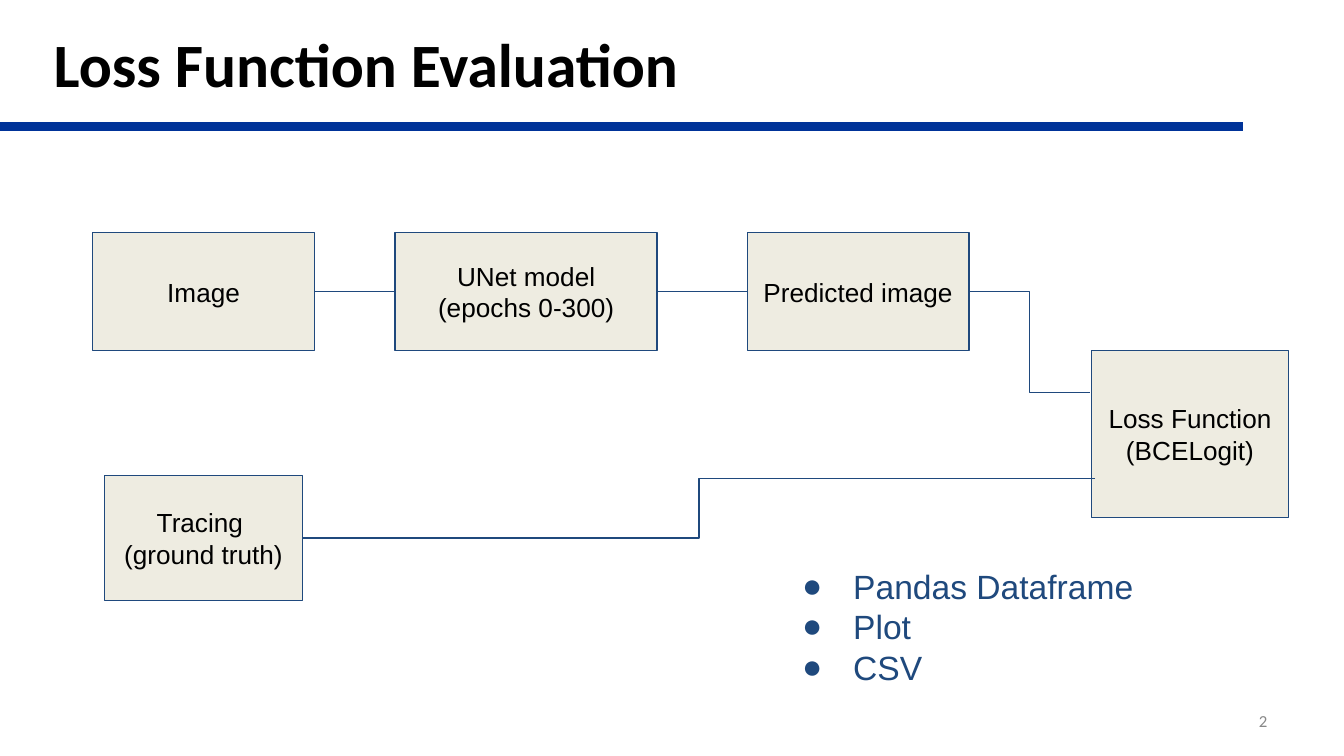
from dataclasses import dataclass

from lxml.etree import SubElement
from pptx import Presentation
from pptx.dml.color import RGBColor
from pptx.enum.shapes import MSO_CONNECTOR, MSO_SHAPE
from pptx.enum.text import MSO_ANCHOR, PP_ALIGN
from pptx.oxml.ns import qn
from pptx.util import Inches, Pt


@dataclass(frozen=True)
class Theme:
    ink: str = "000000"
    navy: str = "1F497D"
    rule: str = "003399"
    sand: str = "EEECE1"
    gray: str = "888888"
    head: str = "Calibri"
    body: str = "Arial"
    title: float = 33
    list: float = 18
    label: float = 14
    number: float = 9
    thin: float = 0.75
    thick: float = 4.5


THEME = Theme()


def color(code):
    return RGBColor.from_string(code)


def add_bullet(para, tint, font):
    props = para._p.get_or_add_pPr()
    props.set("marL", str(Inches(0.5)))
    props.set("indent", str(Inches(-0.38)))
    fill = SubElement(props, qn("a:buClr"))
    SubElement(fill, qn("a:srgbClr"), val=tint)
    SubElement(props, qn("a:buFont"), typeface=font)
    SubElement(props, qn("a:buChar"), char="●")


def write(shape, text, size=THEME.label, font=THEME.body, tint=THEME.ink,
          bold=False, align=PP_ALIGN.LEFT, anchor=MSO_ANCHOR.MIDDLE,
          inset=(0.1, 0.1), bullet=False):
    """Fill a shape with one paragraph per line of text."""
    frame = shape.text_frame
    frame.word_wrap = True
    frame.vertical_anchor = anchor
    frame.margin_left = frame.margin_right = Inches(inset[0])
    frame.margin_top = frame.margin_bottom = Inches(inset[1])
    frame.text = text
    for para in frame.paragraphs:
        if bullet:
            add_bullet(para, tint, font)
        para.alignment = align
        for part in (para, *para.runs):
            part.font.size = Pt(size)
            part.font.name = font
            part.font.bold = bold
            part.font.color.rgb = color(tint)


def add_text(slide, place, text, **style):
    box = slide.shapes.add_textbox(*map(Inches, place))
    write(box, text, **style)


def add_box(slide, place, text):
    box = slide.shapes.add_shape(MSO_SHAPE.RECTANGLE, *map(Inches, place))
    box.shadow.inherit = False
    box.fill.solid()
    box.fill.fore_color.rgb = color(THEME.sand)
    box.line.color.rgb = color(THEME.navy)
    box.line.width = Pt(THEME.thin)
    write(box, text, align=PP_ALIGN.CENTER)
    return box


def add_line(slide, kind, start, end, tint, width):
    line = slide.shapes.add_connector(kind, *map(Inches, start + end))
    line.line.color.rgb = color(tint)
    line.line.width = Pt(width)
    SubElement(line._element.spPr, qn("a:effectLst"))
    return line


def add_link(slide, start, end, source, target=None):
    """Run an elbow from a box's right side, joined to the target if given."""
    link = add_line(slide, MSO_CONNECTOR.ELBOW, start, end,
                    THEME.navy, THEME.thin)
    link.begin_connect(source, 3)
    if target is not None:
        link.end_connect(target, 1)


def main():
    deck = Presentation()
    deck.slide_width = Inches(10)
    deck.slide_height = deck.slide_width * 9 // 16
    slide = deck.slides.add_slide(deck.slide_layouts[6])

    add_line(slide, MSO_CONNECTOR.STRAIGHT, (0, 0.94), (9.25, 0.94),
             THEME.rule, THEME.thick)
    add_text(slide, (0.33, 0, 9.67, 0.94), "Loss Function Evaluation",
             size=THEME.title, font=THEME.head, bold=True, inset=(0.07, 0.04))

    top, high = 1.73, 0.88
    image = add_box(slide, (0.69, top, 1.65, high), "Image")
    model = add_box(slide, (2.94, top, 1.95, high),
                    "UNet model\n(epochs 0-300)")
    guess = add_box(slide, (5.56, top, 1.65, high), "Predicted image")
    truth = add_box(slide, (0.78, 3.54, 1.47, 0.93),
                    "Tracing \n(ground truth)")
    add_box(slide, (8.12, 2.61, 1.47, 1.24), "Loss Function (BCELogit)")

    mid = top + high / 2
    add_link(slide, (2.34, mid), (2.94, mid), image, model)
    add_link(slide, (4.89, mid), (5.56, mid), model, guess)
    add_link(slide, (7.21, mid), (8.11, 2.92), guess)
    add_link(slide, (2.25, 4), (8.15, 3.56), truth)

    add_text(slide, (5.75, 4.11, 4.25, 0.75), "Pandas Dataframe\nPlot\nCSV",
             size=THEME.list, tint=THEME.navy, anchor=MSO_ANCHOR.TOP,
             bullet=True)
    add_text(slide, (7.17, 5.21, 2.33, 0.3), "2", size=THEME.number,
             font=THEME.head, tint=THEME.gray, align=PP_ALIGN.RIGHT,
             inset=(0.07, 0.04))
    deck.save("out.pptx")


if __name__ == "__main__":
    main()
